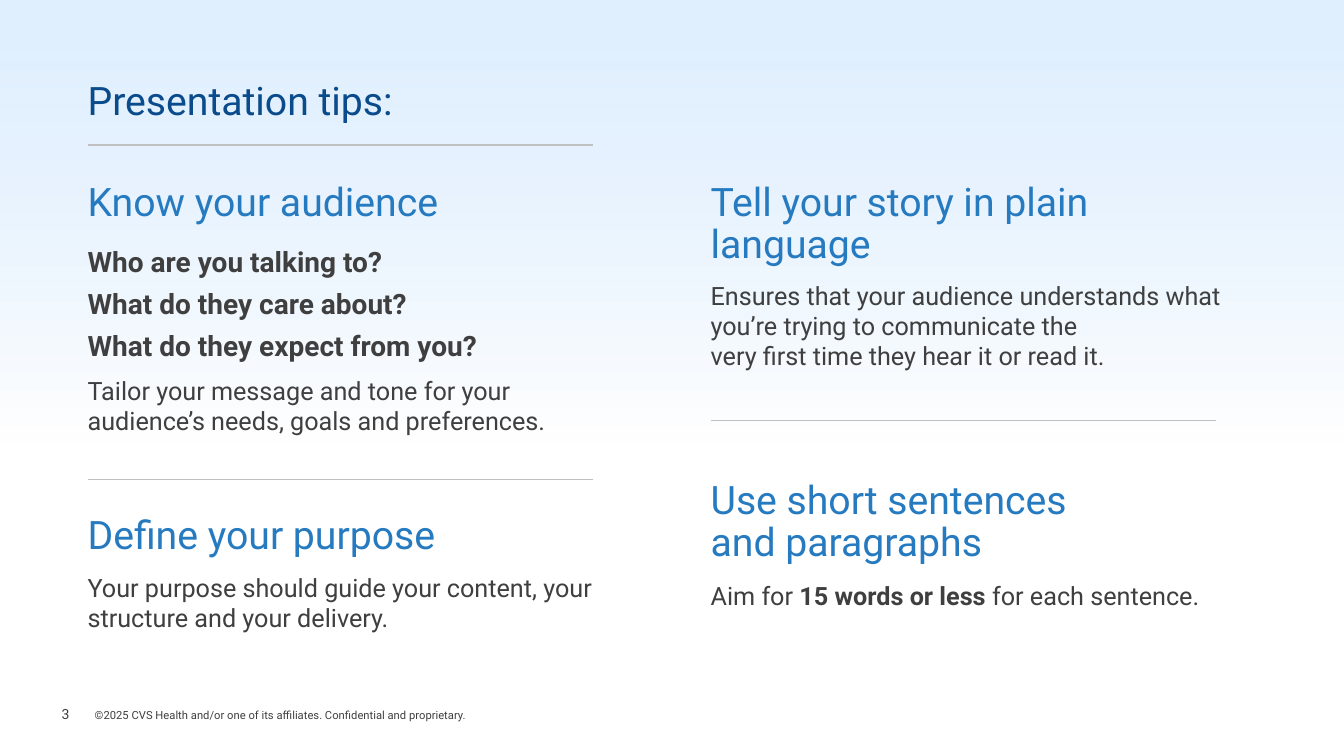
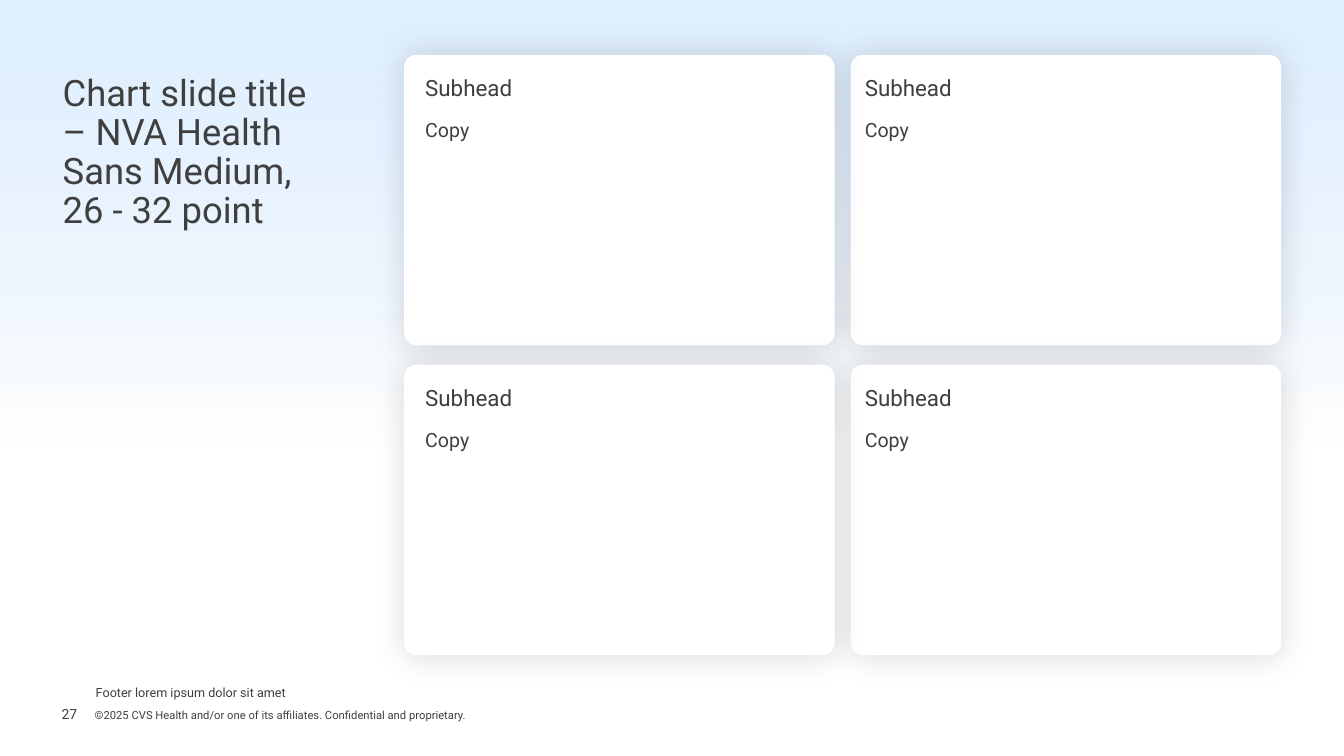
from lxml.etree import SubElement
from pptx import Presentation
from pptx.dml.color import RGBColor
from pptx.enum.shapes import MSO_CONNECTOR, MSO_SHAPE
from pptx.enum.text import MSO_ANCHOR, MSO_AUTO_SIZE, PP_ALIGN
from pptx.oxml.ns import qn
from pptx.util import Pt

COLOURS = {
    "navy": "0A4B8C",
    "blue": "267AC0",
    "text": "3F3F3F",
    "rule": "C0C0C0",
    "sky": "CCE6FF",
    "white": "FFFFFF",
    "black": "000000",
}
FONT = "Roboto"
SLIDE_WIDTH, SLIDE_HEIGHT = 960, 540
COPYRIGHT = "©2025 CVS Health and/or one of its affiliates. Confidential and proprietary."

# Text styles: run size, colour, weight, and paragraph spacing
STYLES = {
    "title": {"size": 28, "colour": "navy", "line_spacing": 0.9},
    "card title": {"size": 26, "colour": "text", "line_spacing": 0.9},
    "heading": {"size": 28, "colour": "blue", "line_spacing": 0.9},
    "question": {"size": 20, "colour": "text", "bold": True, "space_before": 6},
    "copy": {"size": 18, "colour": "text"},
    "subhead": {"size": 16, "colour": "text"},
    "card copy": {"size": 14, "colour": "text", "space_before": 12},
    "number": {"size": 10, "colour": "text"},
    "footnote": {"size": 9, "colour": "text"},
    "copyright": {"size": 8, "colour": "text"},
}

# Insets: left, top, right, bottom
FLUSH = (0, 0, 0, 0)
COPY_INSETS = (0, 3.6, 7.2, 3.6)


def rgb(name):
    return RGBColor.from_string(COLOURS[name])


def set_values(target, values):
    for name, value in values.items():
        setattr(target, name, value)


def add_runs(paragraph, text, style):
    """Write one paragraph; ** switches bold and a newline breaks the line."""
    for part_index, part in enumerate(text.split("**")):
        for line_index, line in enumerate(part.split("\n")):
            if line_index:
                paragraph.add_line_break()
            run = paragraph.add_run()
            run.text = line
            set_values(run.font, {
                "name": FONT,
                "size": Pt(style["size"]),
                "bold": style.get("bold", False) or part_index % 2 == 1,
            })
            run.font.color.rgb = rgb(style["colour"])


def write_text(shape, lines, insets=FLUSH, anchor=MSO_ANCHOR.TOP):
    """Fill a shape with (style name, text) paragraphs."""
    frame = shape.text_frame
    left, top, right, bottom = insets
    set_values(frame, {
        "word_wrap": True,
        "auto_size": MSO_AUTO_SIZE.NONE,
        "vertical_anchor": anchor,
        "margin_left": Pt(left),
        "margin_top": Pt(top),
        "margin_right": Pt(right),
        "margin_bottom": Pt(bottom),
    })
    for index, (style_name, text) in enumerate(lines):
        style = STYLES[style_name]
        paragraph = frame.add_paragraph() if index else frame.paragraphs[0]
        if shape.is_placeholder:
            properties = paragraph._p.get_or_add_pPr()
            properties.set("marL", "0")
            properties.set("indent", "0")
            SubElement(properties, qn("a:buNone"))
        set_values(paragraph, {
            "alignment": PP_ALIGN.LEFT,
            "line_spacing": style.get("line_spacing", 1.0),
            "space_before": Pt(style.get("space_before", 0) if index else 0),
        })
        add_runs(paragraph, text, style)


def add_text(slide, box, lines, insets=FLUSH, anchor=MSO_ANCHOR.TOP, placeholder=None):
    """Put text in a new box, or in a placeholder moved to the front."""
    if placeholder is None:
        shape = slide.shapes.add_textbox(*map(Pt, box))
    else:
        shape = placeholder
        set_values(shape, dict(zip(("left", "top", "width", "height"), map(Pt, box))))
        slide.shapes._spTree.append(shape._element)
    write_text(shape, lines, insets, anchor)


def add_rule(slide, left, top, width=361):
    rule = slide.shapes.add_connector(
        MSO_CONNECTOR.STRAIGHT, Pt(left), Pt(top), Pt(left + width), Pt(top))
    rule.line.color.rgb = rgb("rule")
    rule.line.width = Pt(1)
    SubElement(rule._element.spPr, qn("a:effectLst"))


def add_base_slide(presentation, number):
    """Slide with the sky band, slide number and copyright line."""
    slide = presentation.slides.add_slide(presentation.slide_layouts[1])

    # Sky band fading to white
    band = slide.shapes.add_shape(
        MSO_SHAPE.RECTANGLE, Pt(0), Pt(0), Pt(SLIDE_WIDTH), Pt(317))
    band.shadow.inherit = False
    band.line.fill.background()
    band.fill.gradient()
    band.fill.gradient_angle = 270
    for stop, position, colour in zip(band.fill.gradient_stops, (0, 1), ("sky", "white")):
        stop.position = position
        stop.color.rgb = rgb(colour)
    sky = next(band._element.iter(qn("a:srgbClr")))
    SubElement(sky, qn("a:alpha"), val="60000")

    # Footer
    add_text(slide, (44, 501, 28, 18), [("number", str(number))],
             (0, 3.6, 0, 3.6), MSO_ANCHOR.MIDDLE)
    add_text(slide, (67.7, 506.2, 634, 9.4), [("copyright", COPYRIGHT)],
             anchor=MSO_ANCHOR.BOTTOM)
    return slide


def add_section(slide, box, heading, copies):
    """Heading with copy blocks: (offset, height, lines, placeholder)."""
    left, top, heading_width, copy_width = box
    add_text(slide, (left, top, heading_width, 45), [("heading", heading)])
    for offset, height, lines, placeholder in copies:
        add_text(slide, (left, top + offset, copy_width, height), lines,
                 COPY_INSETS, placeholder=placeholder)


def add_tips_slide(presentation):
    slide = add_base_slide(presentation, 3)
    left, right = 62.6, 507.6
    add_text(slide, (left, 58.3, 339, 45), [("title", "Presentation tips:")],
             placeholder=slide.shapes.title)

    # Left column
    questions = [("question", text) for text in (
        "Who are you talking to?",
        "What do they care about?",
        "What do they expect from you?",
    )]
    tailor = "Tailor your message and tone for your audience’s needs, goals and preferences."
    purpose = "Your purpose should guide your content, your structure and your delivery."
    add_section(slide, (left, 130.3, 339, 375), "Know your audience", [
        (41, 104, questions, slide.placeholders[1]),
        (134, 70, [("copy", tailor)], None),
    ])
    add_section(slide, (left, 368.6, 339, 375), "Define your purpose",
                [(36.8, 70, [("copy", purpose)], None)])

    # Right column
    plain = ("Ensures that your audience understands what you’re trying to "
             "communicate the \nvery first time they hear it or read it.")
    short = "Aim for **15 words or less **for each sentence."
    add_section(slide, (right, 130.3, 284, 381), "Tell your story in plain language",
                [(66.3, 70, [("copy", plain)], None)])
    add_section(slide, (right, 343.4, 284, 381), "Use short sentences \nand paragraphs",
                [(67.7, 29, [("copy", short)], None)])

    # Rules
    for rule_left, rule_top in ((left, 103.7), (left, 342.7), (right, 300.2)):
        add_rule(slide, rule_left, rule_top)


def add_card(slide, box, inset, placeholder=None):
    """White rounded card with a soft shadow, a subhead and copy."""
    left, top, width, height = box
    card = slide.shapes.add_shape(MSO_SHAPE.ROUNDED_RECTANGLE, *map(Pt, box))
    card.adjustments[0] = 0.042
    card.fill.solid()
    card.fill.fore_color.rgb = rgb("white")
    card.line.fill.background()
    card.shadow.inherit = False
    effects = card._element.spPr.find(qn("a:effectLst"))
    shadow = SubElement(effects, qn("a:outerShdw"), blurRad=str(Pt(22.8)),
                        dist="0", dir="0", algn="ctr", rotWithShape="0")
    colour = SubElement(shadow, qn("a:srgbClr"), val=COLOURS["black"])
    SubElement(colour, qn("a:alpha"), val="14000")

    add_text(slide, (left + inset, top + 14, 286, height - 14),
             [("subhead", "Subhead"), ("card copy", "Copy")], placeholder=placeholder)


def add_cards_slide(presentation):
    slide = add_base_slide(presentation, 27)
    title = "Chart slide title – NVA Health Sans Medium, \n26 - 32 point"
    add_text(slide, (44.8, 53.3, 198, 114), [("card title", title)],
             placeholder=slide.shapes.title)

    # Two by two grid of cards, right column first
    width, height = 307.5, 207.5
    column_gap, row_gap = 11.5, 13.8
    for row in range(2):
        for column, inset in ((1, 10), (0, 15)):
            box = (288.7 + column * (width + column_gap),
                   39.2 + row * (height + row_gap), width, height)
            is_body = (row, column) == (0, 1)
            add_card(slide, box, inset, slide.placeholders[1] if is_body else None)

    add_text(slide, (68.4, 488.9, 676, 9.4),
             [("footnote", "Footer lorem ipsum dolor sit amet")])


def main():
    presentation = Presentation()
    presentation.slide_width = Pt(SLIDE_WIDTH)
    presentation.slide_height = Pt(SLIDE_HEIGHT)
    add_tips_slide(presentation)
    add_cards_slide(presentation)
    presentation.save("out.pptx")


if __name__ == "__main__":
    main()
